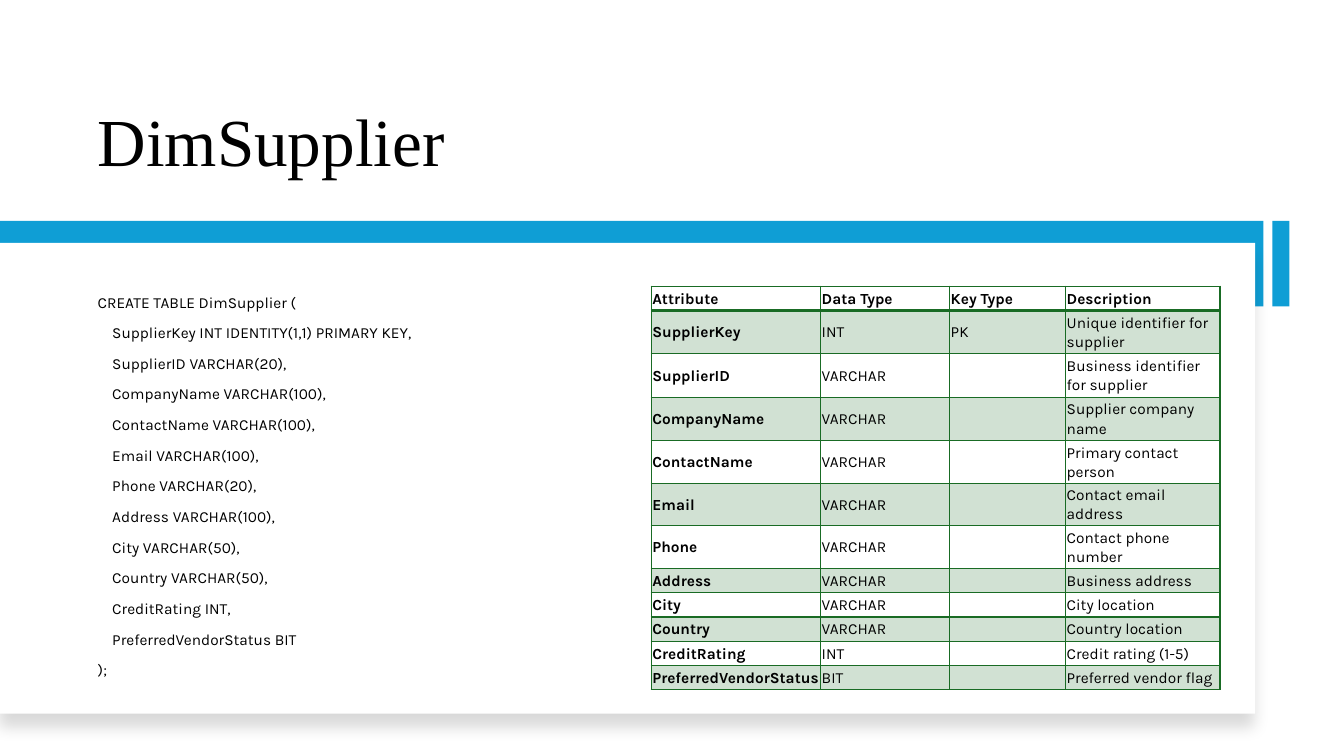
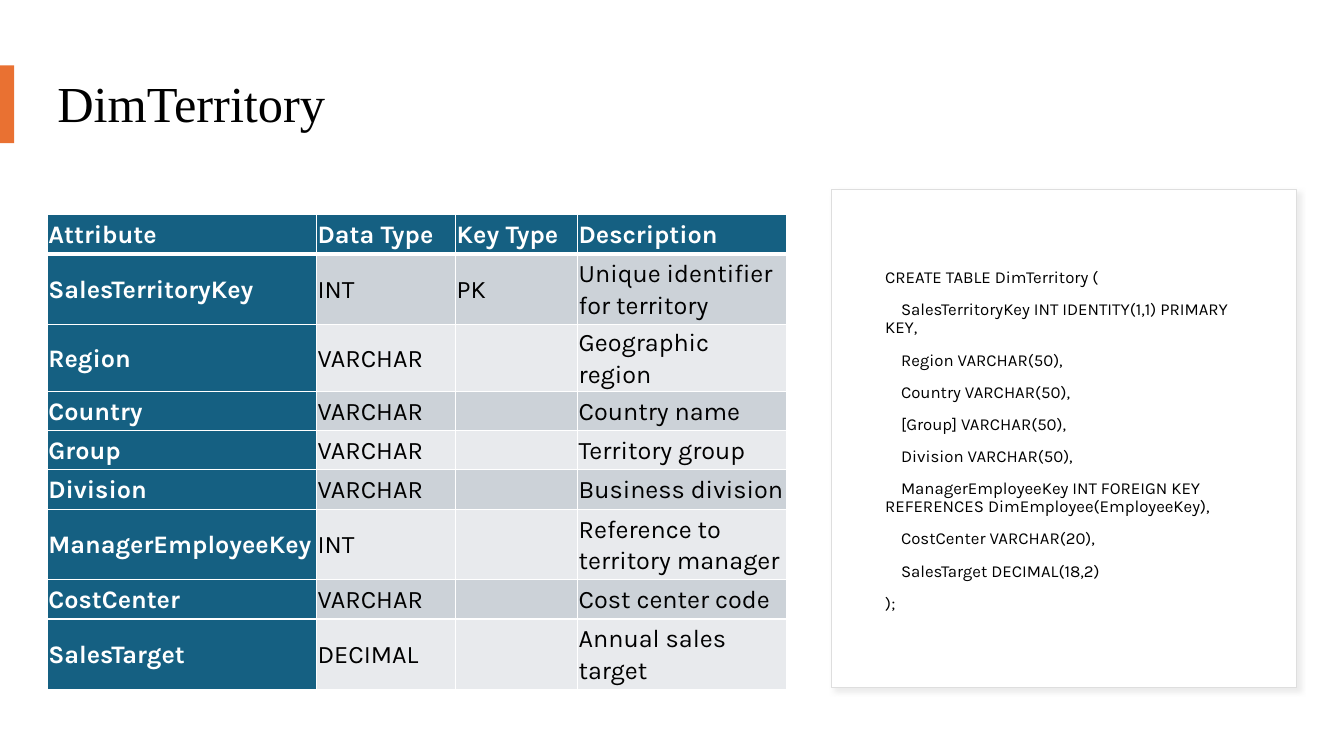
from dataclasses import dataclass

from lxml import etree
from pptx import Presentation
from pptx.dml.color import RGBColor
from pptx.enum.shapes import MSO_SHAPE
from pptx.enum.text import MSO_ANCHOR
from pptx.oxml.ns import qn
from pptx.util import Pt

RECTANGLE = MSO_SHAPE.RECTANGLE
MIDDLE, BOTTOM = MSO_ANCHOR.MIDDLE, MSO_ANCHOR.BOTTOM
PX = 9144  # 100 px to the inch


@dataclass(frozen=True)
class Theme:
    title_font: str = "Times New Roman"
    body_font: str = "Karla"
    text: str = "000000"
    white: str = "FFFFFF"
    blue: str = "0F9ED5"
    orange: str = "E97132"
    green: str = "196B24"
    green_tint: str = "D1E1D3"
    teal: str = "156082"
    gray_dark: str = "CCD2D8"
    gray_light: str = "E8EAED"
    card_line: str = "DEDEDE"
    card_shadow: str = "D9D9D9"
    title_spacing: float = 0.9
    code_spacing: float = 0.9
    cell_spacing: float = 1.07
    code_gap: int = 10
    cell_inset: int = 1


THEME = Theme()

# Content
HEADERS = ("Attribute", "Data Type", "Key Type", "Description")

SUPPLIER_CODE = """CREATE TABLE DimSupplier (
    SupplierKey INT IDENTITY(1,1) PRIMARY KEY,
    SupplierID VARCHAR(20),
    CompanyName VARCHAR(100),
    ContactName VARCHAR(100),
    Email VARCHAR(100),
    Phone VARCHAR(20),
    Address VARCHAR(100),
    City VARCHAR(50),
    Country VARCHAR(50),
    CreditRating INT,
    PreferredVendorStatus BIT
);"""

SUPPLIER_ROWS = [
    HEADERS,
    ("SupplierKey", "INT", "PK", "Unique identifier for supplier"),
    ("SupplierID", "VARCHAR", "", "Business identifier for supplier"),
    ("CompanyName", "VARCHAR", "", "Supplier company name"),
    ("ContactName", "VARCHAR", "", "Primary contact person"),
    ("Email", "VARCHAR", "", "Contact email address"),
    ("Phone", "VARCHAR", "", "Contact phone number"),
    ("Address", "VARCHAR", "", "Business address"),
    ("City", "VARCHAR", "", "City location"),
    ("Country", "VARCHAR", "", "Country location"),
    ("CreditRating", "INT", "", "Credit rating (1-5)"),
    ("PreferredVendorStatus", "BIT", "", "Preferred vendor flag"),
]

TERRITORY_CODE = """CREATE TABLE DimTerritory (
    SalesTerritoryKey INT IDENTITY(1,1) PRIMARY KEY,
    Region VARCHAR(50),
    Country VARCHAR(50),
    [Group] VARCHAR(50),
    Division VARCHAR(50),
    ManagerEmployeeKey INT FOREIGN KEY REFERENCES DimEmployee(EmployeeKey),
    CostCenter VARCHAR(20),
    SalesTarget DECIMAL(18,2)
);"""

TERRITORY_ROWS = [
    HEADERS,
    ("SalesTerritoryKey", "INT", "PK", "Unique identifier for territory"),
    ("Region", "VARCHAR", "", "Geographic region"),
    ("Country", "VARCHAR", "", "Country name"),
    ("Group", "VARCHAR", "", "Territory group"),
    ("Division", "VARCHAR", "", "Business division"),
    ("ManagerEmployeeKey", "INT", "", "Reference to territory manager"),
    ("CostCenter", "VARCHAR", "", "Cost center code"),
    ("SalesTarget", "DECIMAL", "", "Annual sales target"),
]

# Table looks: bands alternate over the rows below the header
SUPPLIER_STYLE = dict(
    size=11, border=THEME.green, header_rule=2,
    head_fill=THEME.white, head_text=THEME.text, key_fill=None,
    bands=(THEME.green_tint, THEME.white))
TERRITORY_STYLE = dict(
    size=18, border=THEME.white, header_rule=3,
    head_fill=THEME.teal, head_text=THEME.white, key_fill=THEME.teal,
    bands=(THEME.gray_dark, THEME.gray_light))


def color(value):
    return RGBColor.from_string(value)


def emu(*lengths):
    return [length * PX for length in lengths]


def style_font(font, name, size, text_color, bold=False):
    font.name, font.size, font.bold = name, Pt(size), bold
    font.color.rgb = color(text_color)


def add_text(page, area, lines, font_name, size, anchor, spacing, gap=0):
    frame = page.shapes.add_textbox(*emu(*area)).text_frame
    frame.word_wrap = True
    frame.vertical_anchor = anchor
    for index, line in enumerate(lines):
        para = frame.add_paragraph() if index else frame.paragraphs[0]
        para.text = line
        para.line_spacing = spacing
        para.space_before = Pt(gap if index else 0)
        style_font(para.font, font_name, size, THEME.text)


def add_title(page, area, text, size, anchor):
    add_text(page, area, [text], THEME.title_font, size, anchor,
             THEME.title_spacing)


def add_code(page, area, code, size):
    add_text(page, area, code.splitlines(), THEME.body_font, size, MIDDLE,
             THEME.code_spacing, THEME.code_gap)


def add_box(page, area, fill, line=None):
    box = page.shapes.add_shape(RECTANGLE, *emu(*area))
    box.shadow.inherit = False
    box.fill.solid()
    box.fill.fore_color.rgb = color(fill)
    if line:
        box.line.color.rgb = color(line)
        box.line.width = Pt(0.75)
    else:
        box.line.fill.background()
    return box


def add_shadow(box, shade, opacity, blur, distance, angle):
    effects = box._element.spPr.find(qn("a:effectLst"))
    shadow = etree.SubElement(
        effects, qn("a:outerShdw"), blurRad=str(Pt(blur)),
        dist=str(Pt(distance)), dir=str(angle * 60000), algn="t",
        rotWithShape="0")
    tone = etree.SubElement(shadow, qn("a:srgbClr"), val=shade)
    etree.SubElement(tone, qn("a:alpha"), val=str(opacity * 1000))


def set_borders(cell, shade, widths):
    properties = cell._tc.get_or_add_tcPr()
    for index, (side, width) in enumerate(widths.items()):
        line = etree.Element(qn(f"a:ln{side}"), w=str(Pt(width)))
        fill = etree.SubElement(line, qn("a:solidFill"))
        etree.SubElement(fill, qn("a:srgbClr"), val=shade)
        properties.insert(index, line)


def fill_cell(cell, text, row, column, style):
    is_head = row == 0
    fill = style["head_fill"] if is_head else style["bands"][(row - 1) % 2]
    text_color = style["head_text"] if is_head else THEME.text
    if column == 0 and style["key_fill"]:
        fill, text_color = style["key_fill"], style["head_text"]
    cell.fill.solid()
    cell.fill.fore_color.rgb = color(fill)
    cell.vertical_anchor = MIDDLE
    cell.margin_left = cell.margin_right = THEME.cell_inset * PX
    cell.margin_top = cell.margin_bottom = THEME.cell_inset * PX
    para = cell.text_frame.paragraphs[0]
    para.text = text
    para.line_spacing = THEME.cell_spacing
    style_font(para.font, THEME.body_font, style["size"], text_color,
               is_head or column == 0)
    rule = style["header_rule"]
    set_borders(cell, style["border"], {
        "L": 1, "R": 1, "T": rule if row == 1 else 1,
        "B": rule if is_head else 1})


def add_grid(page, left, top, widths, heights, rows, style):
    area = emu(left, top, sum(widths), sum(heights))
    table = page.shapes.add_table(len(rows), len(widths), *area).table
    table.first_row = table.horz_banding = False
    for column, width in zip(table.columns, widths):
        column.width = width * PX
    for row, height in zip(table.rows, heights):
        row.height = height * PX
    for row, texts in enumerate(rows):
        for column, text in enumerate(texts):
            fill_cell(table.cell(row, column), text, row, column, style)


def build_supplier(page):
    add_title(page, (87, 42, 1101, 142), "DimSupplier", 48, BOTTOM)
    # Blue band behind the white panel, with a short bar beside it
    add_box(page, (0, 219, 1253, 85), THEME.blue)
    panel = add_box(page, (0, 241, 1245, 467), THEME.white)
    add_shadow(panel, THEME.text, 15, 11, 10, 90)
    add_code(page, (87, 284, 496, 398), SUPPLIER_CODE, 11)
    add_box(page, (1262, 219, 17, 85), THEME.blue)
    heights = [24] + [43] * 4 + [40, 43] + [24] * 5
    add_grid(page, 646, 284, (168, 128, 115, 153), heights, SUPPLIER_ROWS,
             SUPPLIER_STYLE)


def build_territory(page):
    add_title(page, (47, 45, 1225, 121), "DimTerritory", 36, MIDDLE)
    add_box(page, (0, 65, 14, 77), THEME.orange)
    # Card that holds the code
    card = add_box(page, (825, 188, 461, 494), THEME.white, THEME.card_line)
    add_shadow(card, THEME.card_shadow, 50, 4, 3, 45)
    add_code(page, (868, 221, 378, 433), TERRITORY_CODE, 12)
    heights = [39, 70, 66, 39, 39, 39, 70, 39, 70]
    add_grid(page, 47, 213, (267, 138, 121, 207), heights, TERRITORY_ROWS,
             TERRITORY_STYLE)


def main():
    deck = Presentation()
    deck.slide_width, deck.slide_height = emu(1333, 750)
    blank = deck.slide_layouts[6]
    for build in (build_supplier, build_territory):
        build(deck.slides.add_slide(blank))
    deck.save("out.pptx")


if __name__ == "__main__":
    main()
